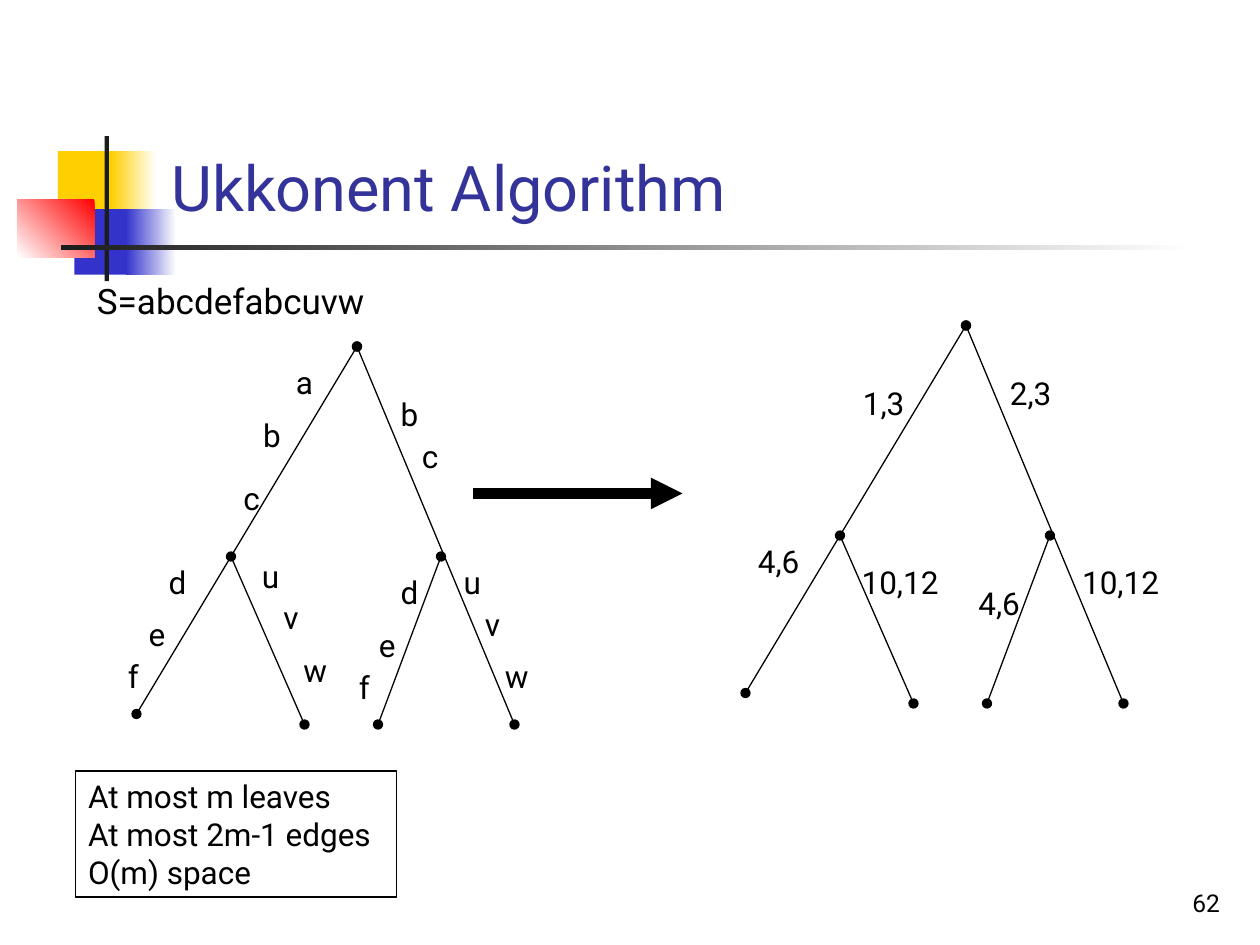
from lxml import etree
from pptx import Presentation
from pptx.dml.color import RGBColor
from pptx.enum.shapes import MSO_CONNECTOR, MSO_SHAPE
from pptx.enum.text import MSO_ANCHOR, MSO_AUTO_SIZE, PP_ALIGN
from pptx.oxml.ns import qn
from pptx.util import Pt

BLACK = RGBColor(0x00, 0x00, 0x00)
WHITE = RGBColor(0xFF, 0xFF, 0xFF)
DARK = RGBColor(0x1C, 0x1C, 0x1C)
YELLOW = RGBColor(0xFF, 0xCF, 0x01)
BLUE = RGBColor(0x33, 0x33, 0xCC)
RED = RGBColor(0xFF, 0x00, 0x00)
TITLE_BLUE = RGBColor(0x33, 0x33, 0x99)

RECT = MSO_SHAPE.RECTANGLE
STRAIGHT = MSO_CONNECTOR.STRAIGHT
LEFT, RIGHT = PP_ALIGN.LEFT, PP_ALIGN.RIGHT
TOP, BOTTOM = MSO_ANCHOR.TOP, MSO_ANCHOR.BOTTOM
NO_FIT, GROW = MSO_AUTO_SIZE.NONE, MSO_AUTO_SIZE.SHAPE_TO_FIT_TEXT

TREE_EDGES = [
    (204, 198, 78, 408), (204, 198, 294, 414),
    (132, 318, 174, 414), (252, 318, 216, 414),
]
TREE_OFFSETS = [(0, 0), (348, -12)]

LABEL_WIDTHS = {"a": 24.5, "b": 25, "c": 23, "d": 25, "e": 24.5, "f": 20,
                "u": 25, "v": 23, "w": 28,
                "1,3": 39.6, "2,3": 39.6, "4,6": 39.6, "10,12": 60.5}
LABELS = [
    ("a", 162, 204), ("b", 143.3, 234), ("c", 132, 270),
    ("d", 89.3, 318), ("e", 77.8, 348), ("f", 66, 372),
    ("u", 142.6, 314.6), ("v", 154.8, 338.4), ("w", 166.3, 368.6),
    ("d", 221.8, 324), ("e", 209.5, 354), ("f", 198, 378),
    ("u", 257.8, 318), ("v", 270, 342), ("w", 281.5, 372),
    ("b", 221.8, 222), ("c", 234, 246),
    ("1,3", 486, 216), ("4,6", 426, 306), ("10,12", 485.3, 318),
    ("4,6", 552, 330), ("10,12", 611.3, 318), ("2,3", 570, 210),
]


class SlideBuilder:
    """Draws elements on one slide; all lengths are in points."""

    def __init__(self, s, font="Roboto"):
        self.s = s
        self.font = font

    def place(self, sp, box):
        for name, value in zip(("left", "top", "width", "height"), box):
            setattr(sp, name, Pt(value))

    def set_text(self, sp, lines, size, color=BLACK, align=LEFT, **frame):
        tf = sp.text_frame
        for name, value in frame.items():
            setattr(tf, name, value)
        for i, line in enumerate(lines):
            p = tf.paragraphs[0] if i == 0 else tf.add_paragraph()
            p.alignment = align
            r = p.add_run()
            r.text = line
            for name, value in {"name": self.font, "size": Pt(size)}.items():
                setattr(r.font, name, value)
            r.font.color.rgb = color

    def title(self, text, box):
        sp = self.s.shapes.title
        self.place(sp, box)
        self.set_text(sp, [text], 36, TITLE_BLUE, vertical_anchor=BOTTOM,
                      word_wrap=True, auto_size=NO_FIT)

    def body(self, text, box):
        sp = self.s.placeholders[1]
        self.place(sp, box)
        pPr = sp.text_frame.paragraphs[0]._p.get_or_add_pPr()
        pPr.set("marL", str(Pt(27)))
        pPr.set("indent", str(-Pt(27)))
        etree.SubElement(pPr, qn("a:buNone"))
        self.set_text(sp, [text], 20, vertical_anchor=TOP,
                      word_wrap=True, auto_size=NO_FIT)
        sp.text_frame.paragraphs[0].space_before = Pt(0)

    def text(self, lines, box, size=18, **style):
        sp = self.s.shapes.add_textbox(*map(Pt, box))
        self.set_text(sp, lines, size, **style)

    def rect(self, box, color=None, gradient=None, line=None):
        """gradient is (start colour, end colour, counter-clockwise angle)."""
        sp = self.s.shapes.add_shape(RECT, *map(Pt, box))
        sp.shadow.inherit = False
        if gradient:
            *colors, angle = gradient
            sp.fill.gradient()
            sp.fill.gradient_angle = angle
            for i, (stop, c) in enumerate(zip(sp.fill.gradient_stops, colors)):
                stop.position = i
                stop.color.rgb = c
        elif color is not None:
            sp.fill.solid()
            sp.fill.fore_color.rgb = color
        else:
            sp.fill.background()
        if line is None:
            sp.line.fill.background()
        else:
            sp.line.color.rgb = line
            sp.line.width = Pt(0.75)
        return sp

    def boxed_text(self, lines, box):
        self.set_text(self.rect(box, line=BLACK), lines, 18,
                      vertical_anchor=TOP, word_wrap=False, auto_size=GROW)

    def line(self, ends, width=0.75, **arrowheads):
        cn = self.s.shapes.add_connector(STRAIGHT, *map(Pt, ends))
        cn.line.color.rgb = BLACK
        cn.line.width = Pt(width)
        spPr = cn._element.spPr
        for tag, kind in arrowheads.items():
            etree.SubElement(spPr.get_or_add_ln(), qn(f"a:{tag}"), type=kind)
        etree.SubElement(spPr, qn("a:effectLst"))


def main():
    prs = Presentation()
    prs.slide_width, prs.slide_height = Pt(720), Pt(540)
    b = SlideBuilder(prs.slides.add_slide(prs.slide_layouts[1]))

    b.rect((33.1, 86.4, 34.6, 37.4), YELLOW)
    b.rect((63.4, 86.4, 25.9, 37.4), gradient=(WHITE, YELLOW, 180))
    b.rect((42.5, 119.5, 33.1, 37.4), BLUE)
    b.rect((72, 119.5, 28.8, 37.4), gradient=(WHITE, BLUE, 180))
    b.rect((10, 113.8, 44, 33.1), gradient=(RED, WHITE, 225))
    b.rect((59.8, 77.8, 2.5, 82.8), DARK)
    b.rect((34.6, 140.2, 648, 2.5), gradient=(WHITE, DARK, 180))

    b.title("Ukkonent Algorithm", (90.7, 16.6, 613.4, 115.2))
    b.body("S=abcdefabcuvw", (48.2, 156.2, 650.9, 324))

    for dx, dy in TREE_OFFSETS:
        for x1, y1, x2, y2 in TREE_EDGES:
            b.line((x1 + dx, y1 + dy, x2 + dx, y2 + dy),
                   headEnd="oval", tailEnd="oval")
    for text, left, top in LABELS:
        b.text([text], (left, top, LABEL_WIDTHS[text], 29),
               word_wrap=False, auto_size=GROW)
    b.line((270, 282, 390, 282), 6, tailEnd="triangle")

    b.boxed_text(["At most m leaves", "At most 2m-1 edges", "O(m) space"],
                 (43.2, 440.6, 183.6, 72))
    b.text(["62"], (554.4, 491.8, 149.8, 36), 14, align=RIGHT,
           vertical_anchor=BOTTOM, word_wrap=True)
    prs.save("out.pptx")


if __name__ == "__main__":
    main()
